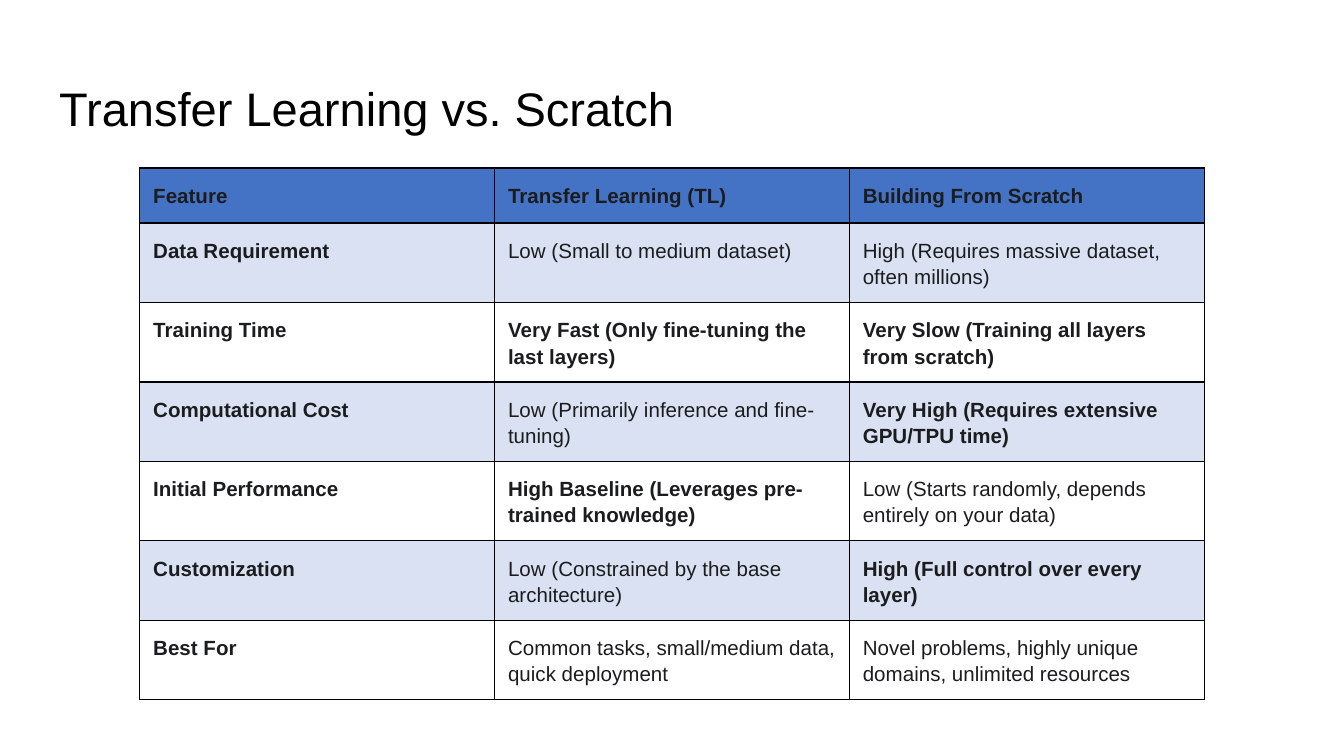
from pptx import Presentation
from pptx.dml.color import RGBColor
from pptx.enum.text import MSO_ANCHOR, PP_ALIGN
from pptx.oxml import parse_xml
from pptx.oxml.ns import nsdecls
from pptx.util import Inches, Pt

FONT = "Arial"
BLACK = RGBColor(0x00, 0x00, 0x00)
TEXT = RGBColor(0x1B, 0x1C, 0x1D)
HEADER = RGBColor(0x44, 0x72, 0xC4)
BAND = RGBColor(0xD9, 0xE1, 0xF2)
SLIDE_WIDTH = Inches(10)
SLIDE_HEIGHT = SLIDE_WIDTH * 9 // 16
MARGIN = Inches(0.1)
HEADER_HEIGHT = Inches(0.41)
ROW_HEIGHT = Inches(0.59)
COLUMN_WIDTH = Inches(2.64)

ROWS = [
    ("Feature", "Transfer Learning (TL)", "Building From Scratch"),
    ("Data Requirement", "Low (Small to medium dataset)",
     "High (Requires massive dataset, often millions)"),
    ("Training Time", "Very Fast (Only fine-tuning the last layers)",
     "Very Slow (Training all layers from scratch)"),
    ("Computational Cost", "Low (Primarily inference and fine-tuning)",
     "Very High (Requires extensive GPU/TPU time)"),
    ("Initial Performance", "High Baseline (Leverages pre-trained knowledge)",
     "Low (Starts randomly, depends entirely on your data)"),
    ("Customization", "Low (Constrained by the base architecture)",
     "High (Full control over every layer)"),
    ("Best For", "Common tasks, small/medium data, quick deployment",
     "Novel problems, highly unique domains, unlimited resources"),
]
EMPHASIZED = {(2, 1), (2, 2), (3, 2), (4, 1), (5, 2)}


def set_margins(box):
    """Give a cell or text frame the same margin on every side."""
    box.margin_left = box.margin_right = MARGIN
    box.margin_top = box.margin_bottom = MARGIN


def format_text(paragraph, size, color, bold=False):
    """Align a paragraph left and format its runs."""
    paragraph.alignment = PP_ALIGN.LEFT
    for run in paragraph.runs:
        run.font.name = FONT
        run.font.size = Pt(size)
        run.font.bold = bold
        run.font.color.rgb = color


def add_title(slide, text):
    """Place and format the title placeholder."""
    title = slide.shapes.title
    title.left, title.top = Inches(0.34), Inches(0.49)
    title.width, title.height = Inches(9.32), Inches(0.63)
    frame = title.text_frame
    frame.text = text
    frame.vertical_anchor = MSO_ANCHOR.MIDDLE
    set_margins(frame)
    format_text(frame.paragraphs[0], 25.2, BLACK)


def add_borders(cell):
    """Draw a thin black line on all four sides of a cell."""
    properties = cell._tc.get_or_add_tcPr()
    for index, side in enumerate(("lnL", "lnR", "lnT", "lnB")):
        properties.insert(index, parse_xml(
            f'<a:{side} {nsdecls("a")} w="{Pt(0.75)}"><a:solidFill>'
            f'<a:srgbClr val="{BLACK}"/></a:solidFill></a:{side}>'))


def fill_cell(cell, text, row, column):
    """Write one table cell with its fill, borders and emphasis."""
    cell.text = text
    cell.vertical_anchor = MSO_ANCHOR.TOP
    set_margins(cell)
    paragraph = cell.text_frame.paragraphs[0]
    paragraph.line_spacing = 1.15
    bold = row == 0 or column == 0 or (row, column) in EMPHASIZED
    format_text(paragraph, 11, TEXT, bold)
    if row == 0 or row % 2:
        cell.fill.solid()
        cell.fill.fore_color.rgb = BAND if row else HEADER
    else:
        cell.fill.background()
    add_borders(cell)


def add_comparison_table(slide):
    """Add the table that compares both approaches."""
    column_count = len(ROWS[0])
    height = HEADER_HEIGHT + ROW_HEIGHT * (len(ROWS) - 1)
    table = slide.shapes.add_table(
        len(ROWS), column_count, Inches(1.04), Inches(1.25),
        COLUMN_WIDTH * column_count, height).table
    for column in table.columns:
        column.width = COLUMN_WIDTH
    for row, texts in enumerate(ROWS):
        table.rows[row].height = ROW_HEIGHT if row else HEADER_HEIGHT
        for column, text in enumerate(texts):
            fill_cell(table.cell(row, column), text, row, column)


def main():
    """Build and save the presentation."""
    presentation = Presentation()
    presentation.slide_width = SLIDE_WIDTH
    presentation.slide_height = SLIDE_HEIGHT
    slide = presentation.slides.add_slide(presentation.slide_layouts[5])
    add_title(slide, "Transfer Learning vs. Scratch")
    add_comparison_table(slide)
    presentation.save("out.pptx")


if __name__ == "__main__":
    main()
